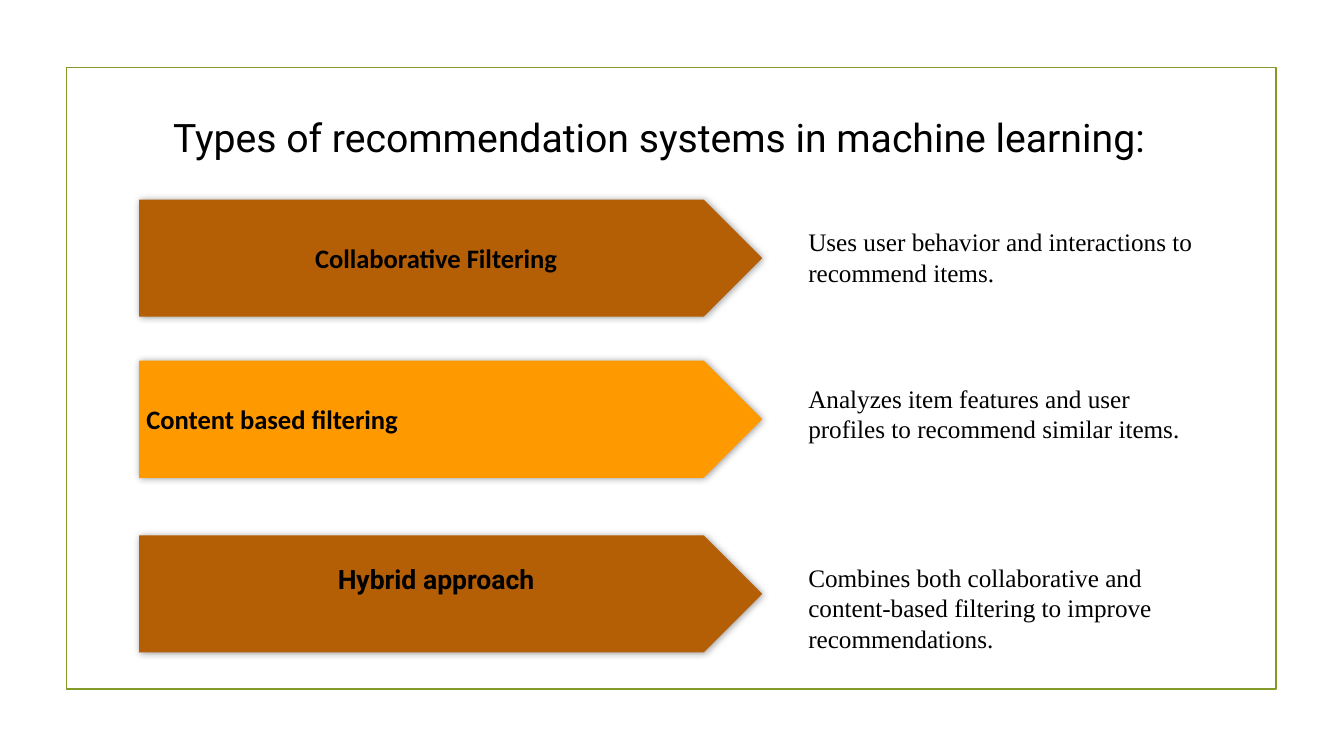
"""Build a slide on the types of recommendation systems in machine learning."""
import dataclasses

import lxml.etree
import pptx
import pptx.dml.color
import pptx.enum.shapes
import pptx.enum.text
import pptx.oxml.ns
import pptx.util

Cm, Pt = pptx.util.Cm, pptx.util.Pt
Color = pptx.dml.color.RGBColor.from_string
Align = pptx.enum.text.PP_ALIGN
Anchor = pptx.enum.text.MSO_ANCHOR
Shape = pptx.enum.shapes.MSO_SHAPE
qn = pptx.oxml.ns.qn


@dataclasses.dataclass(frozen=True)
class Theme:
    ink: str = "000000"
    frame: str = "83992A"
    brown: str = "B45F06"
    amber: str = "FF9900"
    title: int = 28
    label: int = 19
    note: int = 18


theme = Theme()


def write(shape, text, size, font, bold=False, align=Align.LEFT, **frame):
    box = shape.text_frame
    box.text = text
    line = box.paragraphs[0]
    line.alignment = align
    for key, value in {"word_wrap": True, **frame}.items():
        setattr(box, key, value)
    for key, value in {"size": Pt(size), "name": font, "bold": bold}.items():
        setattr(line.runs[0].font, key, value)
    line.runs[0].font.color.rgb = Color(theme.ink)
    return line


def glow(shape):
    shape.shadow.inherit = False
    effects = shape._element.spPr.find(qn("a:effectLst"))
    shade = lxml.etree.SubElement(effects, qn("a:outerShdw"), blurRad=str(Pt(5)), dist="0", dir="0")
    tint = lxml.etree.SubElement(shade, qn("a:srgbClr"), val=theme.ink)
    lxml.etree.SubElement(tint, qn("a:alpha"), val="40000")


deck = pptx.Presentation()
deck.slide_width, deck.slide_height = Cm(33.87), Cm(19.05)
slide = deck.slides.add_slide(deck.slide_layouts[5])

title = slide.shapes.title
place = {"left": 4.11, "top": 2.87, "width": 26.77, "height": 1.35}
for key, value in place.items():
    setattr(title, key, Cm(value))
head = write(title, "Types of recommendation systems in machine learning:", theme.title, "Roboto",
             vertical_anchor=Anchor.TOP)
head.line_spacing = 0.9

frame = slide.shapes.add_shape(Shape.RECTANGLE, Cm(1.68), Cm(1.7), Cm(30.48), Cm(15.67))
frame.shadow.inherit = False
frame.fill.background()
frame.line.color.rgb = Color(theme.frame)
frame.line.width = Pt(1.25)

rows = [
    ("Collaborative Filtering", "Calibri", Align.CENTER, theme.brown, 5.03, 0.1,
     "Uses user behavior and interactions to recommend items.", 5.59, 10.26, 1.83),
    ("Content based filtering", "Calibri", Align.LEFT, theme.amber, 9.09, 0.1,
     "Analyzes item features and user profiles to recommend similar items.", 9.53, 10.01, 1.8),
    ("Hybrid approach", "Roboto", Align.CENTER, theme.brown, 13.49, 0.87,
     "Combines both collaborative and content-based filtering to improve recommendations.",
     14.05, 10.26, 2.57),
]
for label, font, align, fill, top, base, text, y, width, height in rows:
    arrow = slide.shapes.add_shape(Shape.PENTAGON, Cm(3.51), Cm(top), Cm(15.7), Cm(2.95))
    arrow.fill.solid()
    arrow.fill.fore_color.rgb = Color(fill)
    arrow.line.fill.background()
    glow(arrow)
    write(arrow, label, theme.label, font, True, align, vertical_anchor=Anchor.MIDDLE,
          margin_left=Cm(0.18), margin_right=Cm(0.18), margin_top=Cm(0.1), margin_bottom=Cm(base))
    note = slide.shapes.add_textbox(Cm(20.12), Cm(y), Cm(width), Cm(height))
    write(note, text, theme.note, "Times New Roman")

deck.save("out.pptx")
